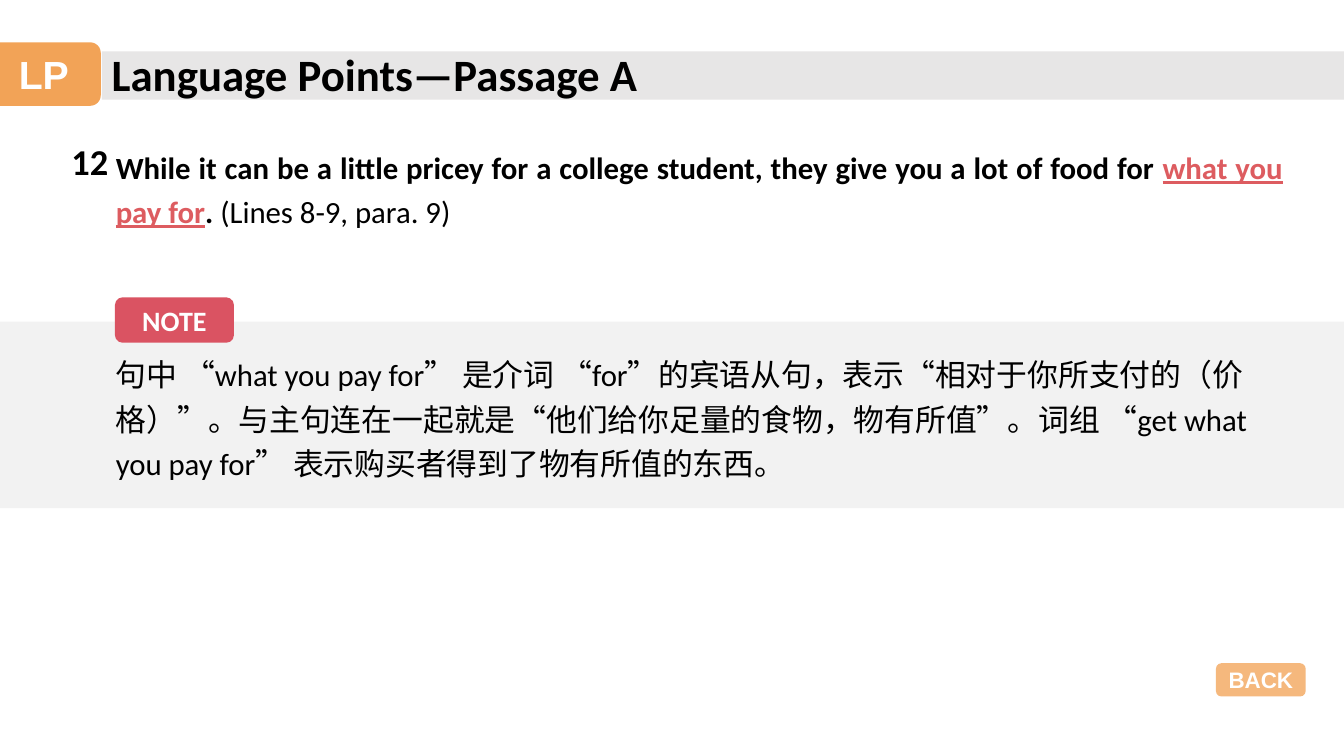
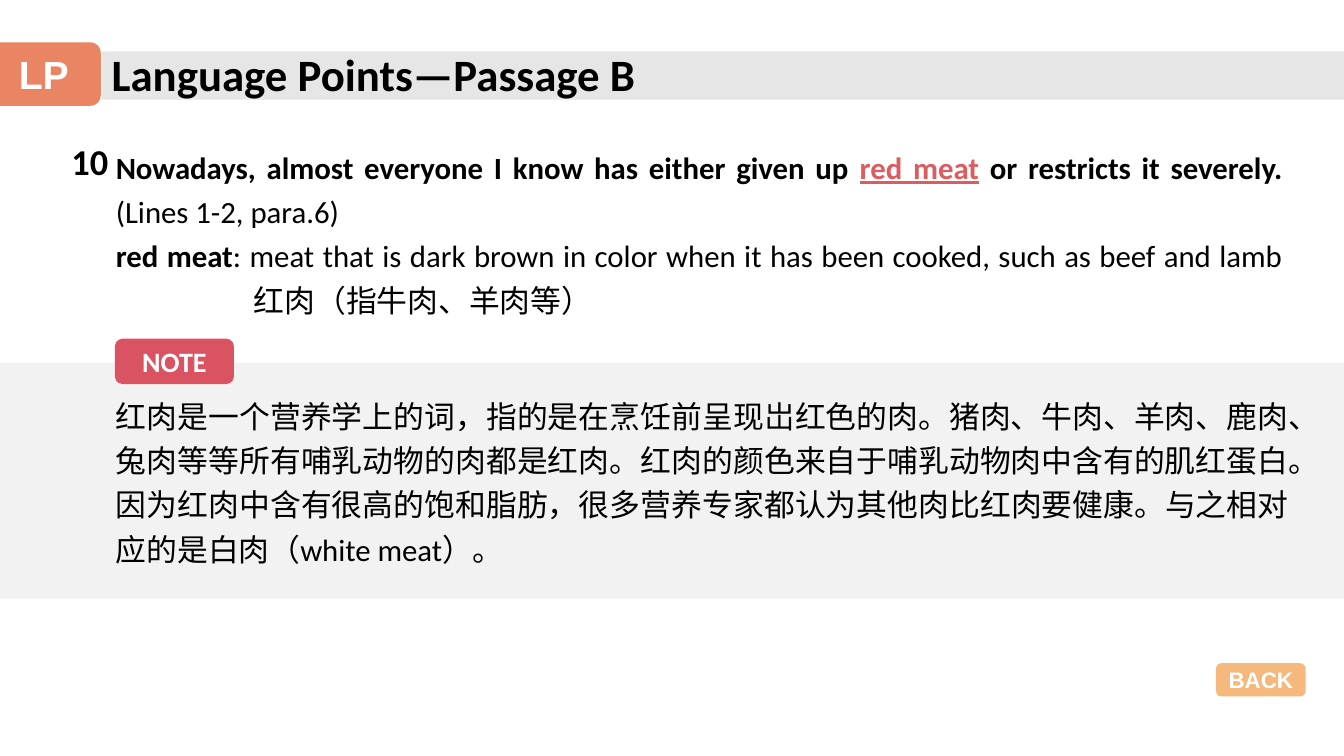
from pptx import Presentation
from pptx.dml.color import RGBColor
from pptx.enum.shapes import MSO_SHAPE as Shape
from pptx.enum.text import MSO_ANCHOR as Anchor, MSO_AUTO_SIZE as Fit, PP_ALIGN as Align
from pptx.util import Inches, Pt

W, H = 13.33, 7.5
COLORS = {
    "text": "000000", "white": "FFFFFF", "key": "DD5C60", "band": "E7E6E6",
    "panel": "F2F2F2", "note": "DA5362", "back": "F5B87D",
    "tag_a": "F2A357", "tag_b": "E98562",
}
STYLES = {
    "plain": {},
    "bold": {"bold": True},
    "key": {"bold": True, "color": "key", "underline": True},
}
HANG = 1.37
TEXT_LEFT = 1.05

SLIDES = [
    {
        "title": "Language Points—Passage A", "tag": "tag_a", "number": "12",
        "sentence": [
            (0, [("While it can be a little pricey for a college student, they give you "
                  "a lot of food for ", "bold"),
                 ("what you pay for", "key"), (". ", "bold"),
                 ("(Lines 8-9, para. 9)", "plain")]),
        ],
        "sentence_height": 0.96,
        "note": "句中 “what you pay for” 是介词 “for”的宾语从句，表示“相对于你所支付的（价格）”。"
                "与主句连在一起就是“他们给你足量的食物，物有所值”。"
                "词组 “get what you pay for” 表示购买者得到了物有所值的东西。",
        "note_align": Align.LEFT, "panel": (3.19, 1.85),
    },
    {
        "title": "Language Points—Passage B", "tag": "tag_b", "number": "10",
        "sentence": [
            (0, [("Nowadays, almost everyone I know has either given up ", "bold"),
                 ("red meat", "key"), (" or restricts it severely. ", "bold"),
                 ("(Lines 1-2, para.6) ", "plain")]),
            (HANG, [("red meat", "bold"),
                    (": meat that is dark brown in color when it has been cooked, "
                     "such as beef and lamb 红肉（指牛肉、羊肉等）", "plain")]),
        ],
        "sentence_height": 1.84,
        "note": "红肉是一个营养学上的词，指的是在烹饪前呈现岀红色的肉。"
                "猪肉、牛肉、羊肉、鹿肉、兔肉等等所有哺乳动物的肉都是红肉。"
                "红肉的颜色来自于哺乳动物肉中含有的肌红蛋白。"
                "因为红肉中含有很高的饱和脂肪，很多营养专家都认为其他肉比红肉要健康。"
                "与之相对应的是白肉（white meat）。",
        "note_align": Align.JUSTIFY, "panel": (3.6, 2.34),
    },
]


def rgb(name):
    return RGBColor.from_string(COLORS[name])


def add_run(p, text, size, font="Calibri", color="text", bold=False, underline=False):
    r = p.add_run()
    r.text = text
    f = r.font
    f.name, f.size, f.bold, f.underline = font, Pt(size), bold, underline
    f.color.rgb = rgb(color)


def add_block(slide, box, kind, fill):
    sp = slide.shapes.add_shape(kind, *map(Inches, box))
    sp.shadow.inherit = False
    sp.fill.solid()
    sp.fill.fore_color.rgb = rgb(fill)
    sp.line.fill.background()
    return sp


def add_badge(slide, box, fill, text, size, font="Arial"):
    tf = add_block(slide, box, Shape.ROUNDED_RECTANGLE, fill).text_frame
    tf.vertical_anchor = Anchor.MIDDLE
    p = tf.paragraphs[0]
    p.alignment = Align.CENTER
    add_run(p, text, size, font, "white", True)


def add_text(slide, box, paragraphs, size, align=Align.LEFT, spacing=None):
    tf = slide.shapes.add_textbox(*map(Inches, box)).text_frame
    tf.word_wrap = True
    tf.auto_size = Fit.SHAPE_TO_FIT_TEXT
    for i, (hang, runs) in enumerate(paragraphs):
        p = tf.add_paragraph() if i else tf.paragraphs[0]
        p.alignment = align
        p.line_spacing = spacing
        if hang:
            pPr = p._p.get_or_add_pPr()
            pPr.set("marL", str(Inches(hang)))
            pPr.set("indent", str(-Inches(hang)))
        for text, style in runs:
            add_run(p, text, size, **STYLES[style])


def add_frame(slide, data):
    add_block(slide, (1.01, 0.51, W - 1.01, 0.48), Shape.RECTANGLE, "band")
    add_badge(slide, (-0.13, 0.42, 1.13, 0.63), data["tag"], "LP", 28)
    add_text(slide, (1.01, 0.41, 5.78, 0.64), [(0, [(data["title"], "bold")])], 32)
    add_badge(slide, (12.06, 6.58, 0.89, 0.33), "back", "BACK", 16)


def add_note(slide, data):
    top, height = data["panel"]
    add_block(slide, (0, top, W, height), Shape.RECTANGLE, "panel")
    add_text(slide, (TEXT_LEFT, top + 0.22, 11.84, height - 0.45),
             [(0, [(data["note"], "plain")])], 22, data["note_align"], 1.2)
    add_badge(slide, (1.14, top - 0.24, 1.18, 0.45), "note", "NOTE", 20, "Calibri")


def main():
    """Build the language point slides."""
    prs = Presentation()
    prs.slide_width, prs.slide_height = Inches(W), Inches(H)
    for data in SLIDES:
        slide = prs.slides.add_slide(prs.slide_layouts[6])
        add_frame(slide, data)
        add_text(slide, (0.61, 1.33, 0.63, 0.54), [(0, [(data["number"], "bold")])], 26)
        add_text(slide, (TEXT_LEFT, 1.35, 11.77, data["sentence_height"]),
                 data["sentence"], 22, Align.JUSTIFY, 1.2)
        add_note(slide, data)
    prs.save("out.pptx")


if __name__ == "__main__":
    main()
